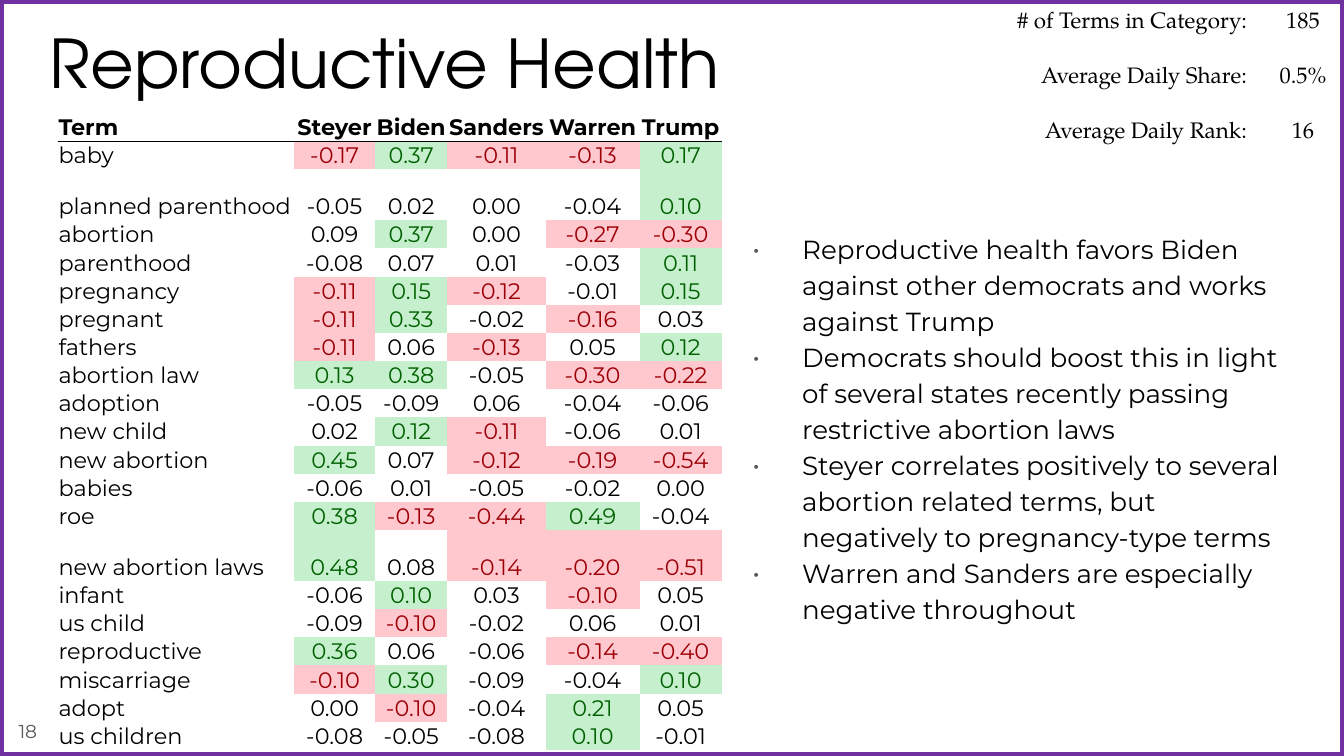
from lxml import etree
from pptx import Presentation
from pptx import util as u
from pptx.dml.color import RGBColor
from pptx.enum import shapes, text
from pptx.oxml.ns import qn

BLACK = RGBColor(0x00, 0x00, 0x00)
GREY = RGBColor(0x59, 0x59, 0x59)
PURPLE = RGBColor(0x70, 0x30, 0xA0)
RED, PINK = RGBColor(0x9C, 0x00, 0x06), RGBColor(0xFF, 0xC7, 0xCE)
GREEN, MINT = RGBColor(0x00, 0x61, 0x00), RGBColor(0xC6, 0xEF, 0xCE)
LEFT, CENTER, RIGHT = text.PP_ALIGN.LEFT, text.PP_ALIGN.CENTER, text.PP_ALIGN.RIGHT
NO_STYLE = "{2D5ABB26-0587-4C30-8999-92F81FD0307C}"

CANDIDATES = ["Steyer", "Biden", "Sanders", "Warren", "Trump"]
TERMS = [
    ("baby", -0.17, 0.37, -0.11, -0.13, 0.17),
    ("planned parenthood", -0.05, 0.02, 0.00, -0.04, 0.10),
    ("abortion", 0.09, 0.37, 0.00, -0.27, -0.30),
    ("parenthood", -0.08, 0.07, 0.01, -0.03, 0.11),
    ("pregnancy", -0.11, 0.15, -0.12, -0.01, 0.15),
    ("pregnant", -0.11, 0.33, -0.02, -0.16, 0.03),
    ("fathers", -0.11, 0.06, -0.13, 0.05, 0.12),
    ("abortion law", 0.13, 0.38, -0.05, -0.30, -0.22),
    ("adoption", -0.05, -0.09, 0.06, -0.04, -0.06),
    ("new child", 0.02, 0.12, -0.11, -0.06, 0.01),
    ("new abortion", 0.45, 0.07, -0.12, -0.19, -0.54),
    ("babies", -0.06, 0.01, -0.05, -0.02, 0.00),
    ("roe", 0.38, -0.13, -0.44, 0.49, -0.04),
    ("new abortion laws", 0.48, 0.08, -0.14, -0.20, -0.51),
    ("infant", -0.06, 0.10, 0.03, -0.10, 0.05),
    ("us child", -0.09, -0.10, -0.02, 0.06, 0.01),
    ("reproductive", 0.36, 0.06, -0.06, -0.14, -0.40),
    ("miscarriage", -0.10, 0.30, -0.09, -0.04, 0.10),
    ("adopt", 0.00, -0.10, -0.04, 0.21, 0.05),
    ("us children", -0.08, -0.05, -0.08, 0.10, -0.01),
]
TALL_ROWS = {"Term", "planned parenthood", "new abortion laws"}
STATS = [
    ("# of Terms in Category:", "185"),
    ("Average Daily Share:", "0.5%"),
    ("Average Daily Rank:", "16"),
]
FINDINGS = [
    "Reproductive health favors Biden against other democrats and works against Trump",
    "Democrats should boost this in light of several states recently passing restrictive abortion laws",
    "Steyer correlates positively to several abortion related terms, but negatively to pregnancy-type terms",
    "Warren and Sanders are especially negative throughout",
]


def write(p, words, name, size, color=BLACK, bold=False, align=LEFT):
    p.alignment = align
    r = p.add_run()
    r.text = words
    r.font.color.rgb = color
    for key, value in {"name": name, "size": u.Pt(size), "bold": bold}.items():
        setattr(r.font, key, value)


def plain_table(s, left, top, widths, heights):
    frame = s.shapes.add_table(len(heights), len(widths), u.Inches(left), u.Inches(top),
                               u.Inches(sum(widths)), u.Inches(sum(heights)))
    table = frame.table
    table.first_row = table.horz_banding = False
    frame._element.find(".//" + qn("a:tableStyleId")).text = NO_STYLE
    for column, width in zip(table.columns, widths):
        column.width = u.Inches(width)
    for row, height in zip(table.rows, heights):
        row.height = u.Inches(height)
    return table


# 16:9 slide
prs = Presentation()
prs.slide_width, prs.slide_height = u.Inches(10), u.Inches(10 * 9 / 16)
s = prs.slides.add_slide(prs.slide_layouts[5])

# Purple frame, behind everything
sp = s.shapes.add_shape(shapes.MSO_SHAPE.RECTANGLE, 0, 0, prs.slide_width, prs.slide_height)
sp.shadow.inherit = False
sp.fill.background()
sp.line.color.rgb = PURPLE
sp.line.width = u.Pt(4.5)
s.shapes._spTree.insert(2, sp._element)

# Title, findings and slide number
title = s.shapes.title
findings = s.shapes.add_textbox(0, 0, 0, 0)
number = s.shapes.add_textbox(0, 0, 0, 0)
for sp, box, anchor in [
    (title, (0.27, 0.06, 9.32, 0.63), text.MSO_ANCHOR.TOP),
    (findings, (5.37, 1.6, 4.31, 1.45), text.MSO_ANCHOR.TOP),
    (number, (0.04, 5.31, 0.4, 0.26), text.MSO_ANCHOR.MIDDLE),
]:
    sp.left, sp.top, sp.width, sp.height = [u.Inches(v) for v in box]
    tf = sp.text_frame
    margins = {"margin_" + side: u.Inches(0.1) for side in ("left", "top", "right", "bottom")}
    for key, value in {**margins, "word_wrap": True, "vertical_anchor": anchor,
                       "auto_size": text.MSO_AUTO_SIZE.NONE}.items():
        setattr(tf, key, value)

write(title.text_frame.paragraphs[0], "Reproductive Health", "TeX Gyre Adventor", 36)
write(number.text_frame.paragraphs[0], "18", "Montserrat", 10, GREY)

tf = findings.text_frame
for i, finding in enumerate(FINDINGS):
    p = tf.add_paragraph() if i else tf.paragraphs[0]
    write(p, finding, "Montserrat", 14)
    p.line_spacing = 1.15
    pPr = p._p.get_or_add_pPr()
    pPr.set("marL", str(u.Inches(0.5)))
    pPr.set("indent", str(u.Inches(-0.37)))
    color = etree.SubElement(pPr, qn("a:buClr"))
    etree.SubElement(color, qn("a:srgbClr"), val=str(GREY))
    etree.SubElement(pPr, qn("a:buFont"), typeface="Montserrat")
    etree.SubElement(pPr, qn("a:buChar"), char="•")

# Category statistics
table = plain_table(s, 7.39, 0.04, [1.99, 0.63], [0.41] * len(STATS))
for y, stat in enumerate(STATS):
    for x, align in enumerate((RIGHT, CENTER)):
        write(table.cell(y, x).text_frame.paragraphs[0], stat[x], "TeX Gyre Pagella", 12, align=align)

# Term correlations: values of at least 0.10 either way are shaded
rows = [("Term", *CANDIDATES)] + TERMS
heights = [0.38 if row[0] in TALL_ROWS else 0.19 for row in rows]
table = plain_table(s, 0.43, 0.67, [1.76, 0.6, 0.54, 0.73, 0.7, 0.61], heights)
for y, row in enumerate(rows):
    for x, value in enumerate(row):
        cell = table.cell(y, x)
        for key in ("margin_left", "margin_top", "margin_right"):
            setattr(cell, key, u.Pt(0.42))
        cell.margin_bottom = 0
        cell.vertical_anchor = text.MSO_ANCHOR.BOTTOM
        color = BLACK
        if y == 0:
            line = etree.SubElement(cell._tc.get_or_add_tcPr(), qn("a:lnB"), w=str(u.Pt(0.5)))
            fill = etree.SubElement(line, qn("a:solidFill"))
            etree.SubElement(fill, qn("a:srgbClr"), val=str(BLACK))
        elif x and abs(value) >= 0.1:
            color, shade = (GREEN, MINT) if value > 0 else (RED, PINK)
            cell.fill.solid()
            cell.fill.fore_color.rgb = shade
        words = f"{value:.2f}" if x and y else value
        write(cell.text_frame.paragraphs[0], words, "Montserrat", 12, color,
              bold=y == 0, align=CENTER if x else LEFT)

prs.save("out.pptx")
